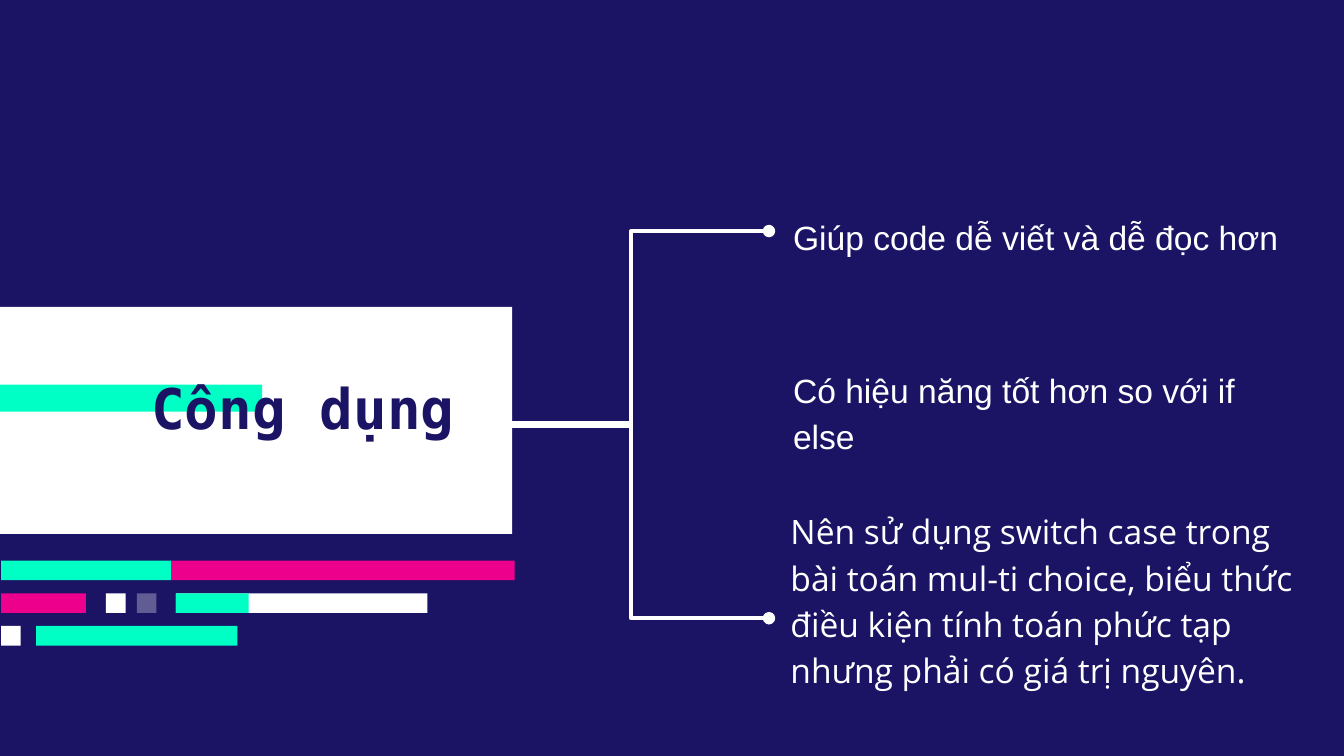
from dataclasses import dataclass

from lxml.etree import SubElement
from pptx import Presentation
from pptx.dml.color import RGBColor
from pptx.enum.shapes import MSO_CONNECTOR, MSO_SHAPE
from pptx.enum.text import MSO_ANCHOR, PP_ALIGN
from pptx.oxml.ns import qn
from pptx.util import Pt


@dataclass(frozen=True)
class Theme:
    navy: str = "1B1464"
    white: str = "FFFFFF"
    mint: str = "00FFC5"
    pink: str = "EC008C"
    title_font: str = "DejaVu Sans Mono"
    title_size: int = 30
    body_size: int = 18


THEME = Theme()


def add_block(s, box, color, alpha=None):
    """Add a plain rectangle; alpha is its opacity in percent."""
    sp = s.shapes.add_shape(MSO_SHAPE.RECTANGLE, *map(Pt, box))
    sp.shadow.inherit = False
    sp.fill.solid()
    sp.fill.fore_color.rgb = RGBColor.from_string(color)
    sp.line.fill.background()
    if alpha is not None:
        clr = sp.fill._xPr.find(qn("a:solidFill"))[0]
        SubElement(clr, qn("a:alpha")).set("val", str(alpha * 1000))


def add_text(s, box, text, font, size, color, bold=False):
    """Add a one-paragraph text box and return its text frame."""
    tf = s.shapes.add_textbox(*map(Pt, box)).text_frame
    tf.word_wrap = True
    tf.margin_top = tf.margin_bottom = 0
    tf.text = text
    f = tf.paragraphs[0].runs[0].font
    f.name, f.size, f.bold = font, Pt(size), bold
    f.color.rgb = RGBColor.from_string(color)
    return tf


def add_title_panel(s, box):
    x, y, w, h = box
    add_block(s, box, THEME.white)
    add_block(s, (x + 1.4, y + 41.6, 140.4, 14.6), THEME.mint)
    tf = add_text(s, (x + 60.4, y + 38.2, 191.6, 31), "Công dụng",
                  THEME.title_font, THEME.title_size, THEME.navy, bold=True)
    tf.vertical_anchor = MSO_ANCHOR.MIDDLE
    tf.paragraphs[0].alignment = PP_ALIGN.RIGHT


def add_code_bars(s, box):
    """Draw rows of (offset, width, colour, opacity) bars, evenly spaced in the box."""
    x, y, w, h = box
    bar = 10.5
    rows = [
        [(91, w - 91, THEME.pink, None), (0, 91, THEME.mint, None)],
        [(93.6, 134.8, THEME.white, None), (93.6, 39, THEME.mint, None),
         (0, 45.4, THEME.pink, None), (72.8, bar, THEME.white, 31),
         (56.2, bar, THEME.white, None)],
        [(0, bar, THEME.white, None), (18.8, 107.8, THEME.mint, None)],
    ]
    pitch = (h - bar) / (len(rows) - 1)
    for i, row in enumerate(rows):
        for offset, width, color, alpha in row:
            add_block(s, (x + offset, y + i * pitch, width, bar), color, alpha)


def add_branches(s, box):
    """Draw two elbows from the left middle of the box to its right corners."""
    x, y, w, h = box
    middle = y + h / 2
    overlap = 0.7  # the stems lie side by side and make one thicker stem
    for start, end in ((middle + overlap, y), (middle - overlap, y + h)):
        c = s.shapes.add_connector(MSO_CONNECTOR.ELBOW, Pt(x), Pt(start),
                                   Pt(x + w), Pt(end))
        c.line.color.rgb = RGBColor.from_string(THEME.white)
        c.line.width = Pt(2.25)
        SubElement(c.line._get_or_add_ln(), qn("a:tailEnd")).set("type", "oval")
        SubElement(c._element.spPr, qn("a:effectLst"))


def add_benefit(s, box, text, font):
    tf = add_text(s, box, text, font, THEME.body_size, THEME.white)
    p = tf.paragraphs[0]
    p.line_spacing = 1.15
    p.space_before = p.space_after = Pt(16)


def main():
    prs = Presentation()
    prs.slide_width, prs.slide_height = Pt(720), Pt(405)
    s = prs.slides.add_slide(prs.slide_layouts[6])
    s.background.fill.solid()
    s.background.fill.fore_color.rgb = RGBColor.from_string(THEME.navy)

    add_title_panel(s, (-1.4, 164.4, 275.8, 121.7))
    add_code_bars(s, (0.6, 300.4, 275.2, 45.5))
    add_branches(s, (264.2, 123.8, 147.8, 207.4))
    add_benefit(s, (417.8, 113, 292.3, 21.6),
                "Giúp code dễ viết và dễ đọc hơn", "Arial")
    add_benefit(s, (417.8, 195, 285.1, 50.4),
                "Có hiệu năng tốt hơn so với if else", "Arial")
    add_benefit(s, (416.4, 270.6, 285.1, 113),
                "Nên sử dụng switch case trong bài toán mul-ti choice, biểu thức "
                "điều kiện tính toán phức tạp nhưng phải có giá trị nguyên.",
                "Open Sans")
    prs.save("out.pptx")


if __name__ == "__main__":
    main()
